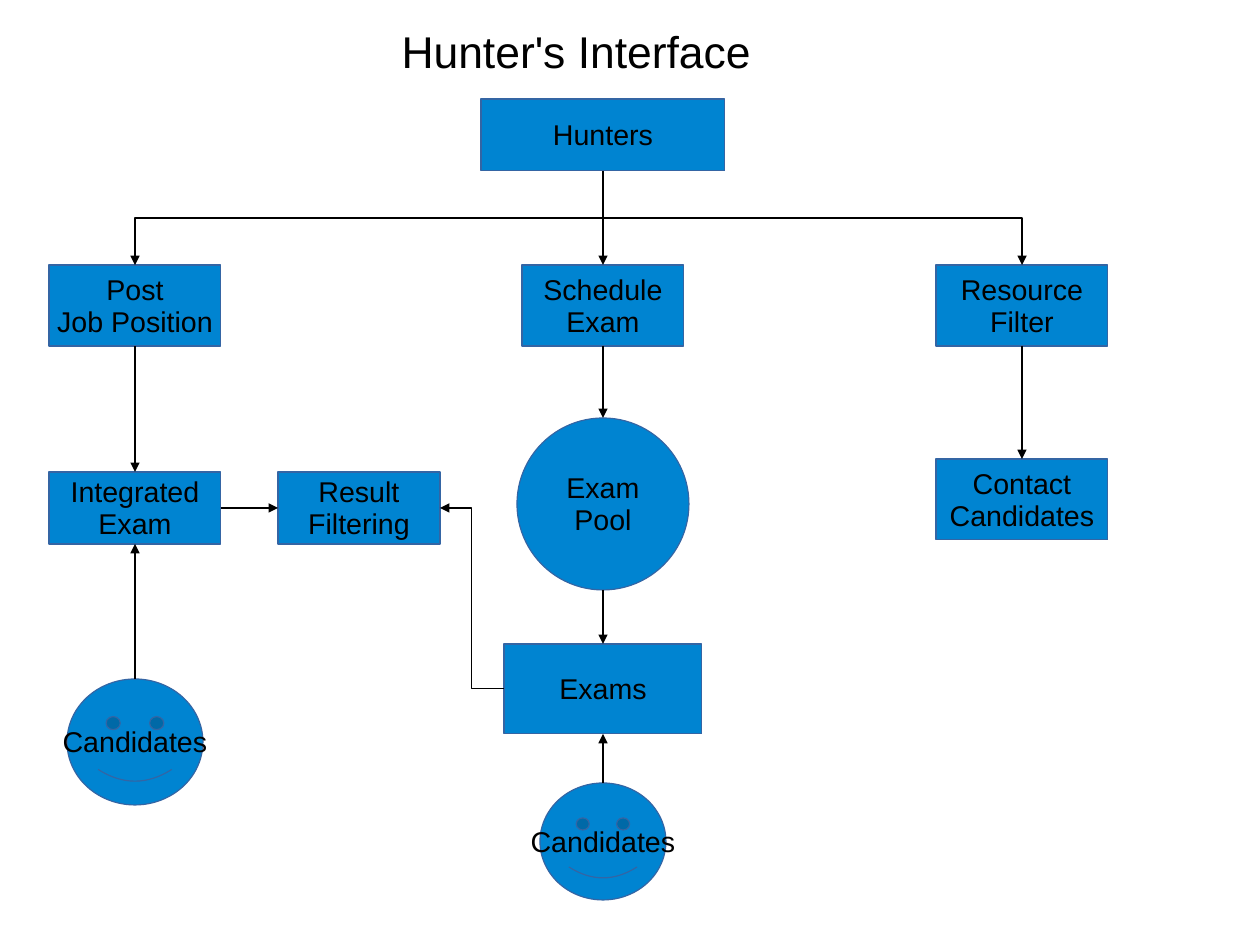
import pptx
import pptx.dml.color
import pptx.enum.shapes
import pptx.enum.text
import pptx.util
import lxml.etree

PX = 8000
BLUE = pptx.dml.color.RGBColor(0x00, 0x84, 0xD1)
OUTLINE = pptx.dml.color.RGBColor(0x34, 0x65, 0xA4)
BLACK = pptx.dml.color.RGBColor(0, 0, 0)
RECT = pptx.enum.shapes.MSO_SHAPE.RECTANGLE
OVAL = pptx.enum.shapes.MSO_SHAPE.OVAL
FACE = pptx.enum.shapes.MSO_SHAPE.SMILEY_FACE
STRAIGHT = pptx.enum.shapes.MSO_CONNECTOR.STRAIGHT
ELBOW = pptx.enum.shapes.MSO_CONNECTOR.ELBOW
TOP, LEFT, BOTTOM, RIGHT = range(4)
POST, RESULT, EXAM, RESOURCE = 135, 359, 603, 1022


def write(frame, wording, size, insets):
    frame.text = wording
    frame.auto_size = pptx.enum.text.MSO_AUTO_SIZE.NONE
    frame.vertical_anchor = pptx.enum.text.MSO_ANCHOR.MIDDLE
    frame.margin_left, frame.margin_top, frame.margin_right, frame.margin_bottom = [
        inset * PX for inset in insets]
    for paragraph in frame.paragraphs:
        paragraph.alignment = pptx.enum.text.PP_ALIGN.CENTER
        paragraph.line_spacing = 0.93
        for run in paragraph.runs:
            run.font.name = "Arial"
            run.font.size = pptx.util.Pt(size)
            run.font.color.rgb = BLACK


def port(step, side):
    x, y = step.left + step.width // 2, step.top + step.height // 2
    return {TOP: (x, step.top), LEFT: (step.left, y),
            BOTTOM: (x, step.top + step.height), RIGHT: (step.left + step.width, y)}[side]


deck = pptx.Presentation()
deck.slide_width, deck.slide_height = 1260 * PX, 945 * PX
slide = deck.slides.add_slide(deck.slide_layouts[5])

title = slide.shapes.title
title.left, title.top, title.width, title.height = 9 * PX, 21 * PX, 1134 * PX, 62 * PX
write(title.text_frame, "Hunter's Interface", 28, (0, 3, 0, 0))

steps = {}
for key, kind, center, top, width, height, wording in [
    ("hunters", RECT, EXAM, 99, 244, 72, "Hunters"),
    ("post", RECT, POST, 265, 172, 81, "Post\nJob Position"),
    ("schedule", RECT, EXAM, 265, 162, 81, "Schedule\nExam"),
    ("resource", RECT, RESOURCE, 265, 172, 81, "Resource\nFilter"),
    ("integrated", RECT, POST, 472, 172, 72, "Integrated\nExam"),
    ("result", RECT, RESULT, 472, 162, 72, "Result\nFiltering"),
    ("pool", OVAL, EXAM, 418, 172, 172, "Exam\nPool"),
    ("contact", RECT, RESOURCE, 459, 172, 81, "Contact\nCandidates"),
    ("exams", RECT, EXAM, 644, 198, 90, "Exams"),
    ("integrated candidates", FACE, POST, 679, 136, 126, "Candidates"),
    ("exam candidates", FACE, EXAM, 783, 126, 117, "Candidates"),
]:
    step = slide.shapes.add_shape(
        kind, (center - width // 2) * PX, top * PX, width * PX, height * PX)
    step.shadow.inherit = False
    step.fill.solid()
    step.fill.fore_color.rgb = BLUE
    step.line.color.rgb = OUTLINE
    step.line.width = pptx.util.Pt(0.75)
    write(step.text_frame, wording, 18, (11, 8, 11, 6))
    step.text_frame.word_wrap = False
    steps[key] = step

for source, source_side, target, target_side in [
    ("hunters", BOTTOM, "post", TOP),
    ("hunters", BOTTOM, "schedule", TOP),
    ("hunters", BOTTOM, "resource", TOP),
    ("post", BOTTOM, "integrated", TOP),
    ("schedule", BOTTOM, "pool", TOP),
    ("resource", BOTTOM, "contact", TOP),
    ("integrated", RIGHT, "result", LEFT),
    ("pool", BOTTOM, "exams", TOP),
    ("exams", LEFT, "result", RIGHT),
    ("integrated candidates", TOP, "integrated", BOTTOM),
    ("exam candidates", TOP, "exams", BOTTOM),
]:
    x1, y1 = port(steps[source], source_side)
    x2, y2 = port(steps[target], target_side)
    bent = x1 != x2 and y1 != y2
    arrow = slide.shapes.add_connector(ELBOW if bent else STRAIGHT, x1, y1, x2, y2)
    if source != "pool":
        arrow.begin_connect(steps[source], source_side)
    arrow.end_connect(steps[target], target_side)
    if bent and source_side == BOTTOM:
        drop, span = y2 - y1, abs(x2 - x1)
        arrow.left, arrow.top = (x1 + x2 - drop) // 2, (y1 + y2 - span) // 2
        arrow.width, arrow.height = drop, span
        turn = arrow.element.spPr.xfrm
        turn.set("rot", str((90 if x2 < x1 else 270) * 60000))
        turn.set("flipH", "0" if x2 < x1 else "1")
    arrow.line.color.rgb = BLACK
    arrow.line.width = pptx.util.Pt(0.75)
    stroke = arrow.line._get_or_add_ln()
    lxml.etree.SubElement(stroke, pptx.oxml.ns.qn("a:tailEnd"), type="triangle")
    lxml.etree.SubElement(arrow.element.spPr, pptx.oxml.ns.qn("a:effectLst"))

deck.save("out.pptx")
